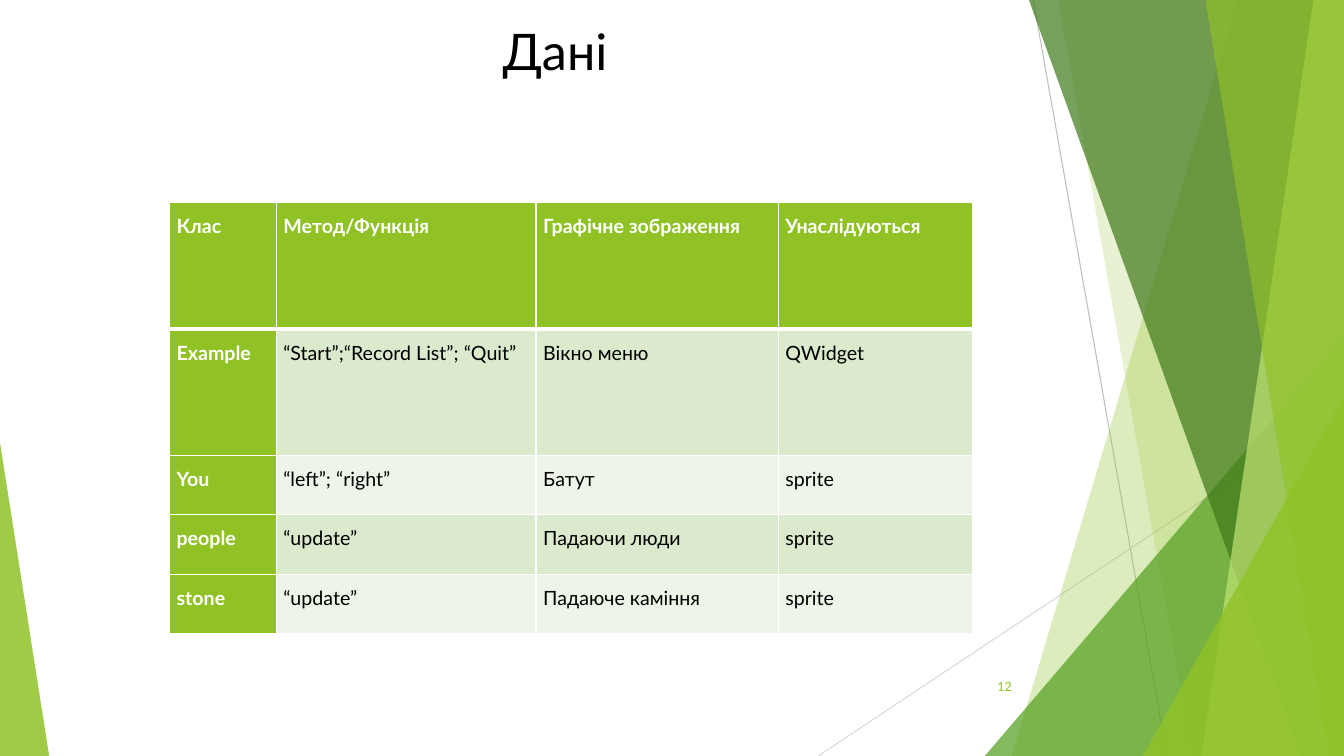
from dataclasses import dataclass

from lxml.etree import SubElement
from pptx import Presentation
from pptx.dml.color import RGBColor as Rgb
from pptx.enum.shapes import MSO_CONNECTOR as Link, MSO_SHAPE as Kind
from pptx.enum.text import MSO_ANCHOR as Anchor, PP_ALIGN as Align
from pptx.oxml import parse_xml
from pptx.oxml.ns import nsdecls, qn
from pptx.util import Cm, Pt


@dataclass(frozen=True)
class Theme:
    font: str = "Lato"
    lime: str = "90C226"
    leaf: str = "54A021"
    moss: str = "3F7819"
    pale: str = "C0E474"
    odd: str = "DBE9CD"
    even: str = "EEF4E8"
    gray: str = "BFBFBF"
    mist: str = "D9D9D9"
    white: str = "FFFFFF"
    black: str = "000000"
    title: int = 36
    body: int = 14
    small: int = 9


THEME = Theme()
WIDTH, HEIGHT = 33.87, 19.05

# Start and end points, colour
LINES = [
    (26.04, 0, 29.41, HEIGHT, THEME.gray),
    (WIDTH, 10.24, 20.62, HEIGHT, THEME.mist),
]
# Left edge at top and at bottom, colour, opacity in percent
BACK = [(31.19, 25.5, THEME.lime, 30), (26.67, 30.05, THEME.lime, 20)]
FRONT = [
    (25.93, 32.79, THEME.moss, 70),
    (33.1, 30.28, THEME.pale, 70),
    (30.38, 33.48, THEME.lime, 65),
]
COLS = [2.69, 6.55, 6.1, 4.9]
ROWS = [3.18, 3.18, 1.5, 1.5, 1.5]
DATA = [
    ["Клас", "Метод/Функція", "Графічне зображення", "Унаслідуються"],
    ["Example", "“Start”;“Record List”; “Quit”", "Вікно меню", "QWidget"],
    ["You", "“left”; “right”", "Батут", "sprite"],
    ["people", "“update”", "Падаючи люди", "sprite"],
    ["stone", "“update”", "Падаюче каміння", "sprite"],
]


def style(para, size, color, align, bold=False):
    para.alignment = align
    for run in para.runs:
        font = run.font
        font.name, font.size, font.bold = THEME.font, Pt(size), bold
        font.color.rgb = Rgb.from_string(color)


def paint(shape, color, alpha):
    """Fill a shape with a see-through colour, without line or shadow."""
    shape.shadow.inherit = False
    shape.line.fill.background()
    shape.fill.solid()
    shape.fill.fore_color.rgb = Rgb.from_string(color)
    tint = shape.fill._xPr.find(".//" + qn("a:srgbClr"))
    SubElement(tint, qn("a:alpha"), val=str(alpha * 1000))


def add_line(slide, x1, y1, x2, y2, color):
    line = slide.shapes.add_connector(
        Link.STRAIGHT, Cm(x1), Cm(y1), Cm(x2), Cm(y2))
    line.line.color.rgb = Rgb.from_string(color)
    line.line.width = Pt(0.75)
    SubElement(line._element.spPr, qn("a:effectLst"))


def add_band(slide, top, bottom, color, alpha):
    """Draw a full-height band that reaches the right edge."""
    pen = slide.shapes.build_freeform(Cm(top), 0)
    pen.add_line_segments([
        (Cm(WIDTH), 0), (Cm(WIDTH), Cm(HEIGHT)), (Cm(bottom), Cm(HEIGHT))])
    paint(pen.convert_to_shape(), color, alpha)


def add_wedge(slide, left, right, top, peak, color, alpha):
    """Draw a triangle on the bottom edge; peak is 0 for left, 1 for right."""
    wedge = slide.shapes.add_shape(
        Kind.ISOSCELES_TRIANGLE, Cm(left), Cm(top),
        Cm(right - left), Cm(HEIGHT - top))
    wedge.adjustments[0] = peak
    paint(wedge, color, alpha)


def add_decor(slide):
    for line in LINES:
        add_line(slide, *line)
    for band in BACK:
        add_band(slide, *band)
    add_wedge(slide, 24.82, WIDTH, 8.46, 1, THEME.leaf, 72)
    for band in FRONT:
        add_band(slide, *band)
    add_wedge(slide, 28.8, WIDTH, 9.98, 1, THEME.lime, 80)
    add_wedge(slide, 0, 1.24, 11.15, 0, THEME.lime, 85)


def set_title(slide, text):
    title = slide.shapes.title
    title.left, title.top = Cm(8.53), Cm(0.38)
    title.width, title.height = Cm(10.59), Cm(2.46)
    frame = title.text_frame
    frame.text = text
    frame.vertical_anchor = Anchor.TOP
    style(frame.paragraphs[0], THEME.title, THEME.black, Align.CENTER)


def set_edges(cell, row):
    """Give a cell white borders, thick between header and body."""
    props = cell._tc.get_or_add_tcPr()
    sizes = {"L": 1, "R": 1, "T": 3 if row == 1 else 1,
             "B": 3 if row == 0 else 1}
    for spot, (side, size) in enumerate(sizes.items()):
        props.insert(spot, parse_xml(
            f'<a:ln{side} {nsdecls("a")} w="{Pt(size)}"><a:solidFill>'
            f'<a:srgbClr val="{THEME.white}"/></a:solidFill></a:ln{side}>'))


def set_cell(cell, text, row, col):
    head = row == 0 or col == 0
    cell.margin_left = cell.margin_right = Cm(0.18)
    cell.margin_top = cell.margin_bottom = 0
    cell.text_frame.text = text
    para = cell.text_frame.paragraphs[0]
    para.line_spacing, para.space_after = 1.5, Pt(10)
    align = Align.LEFT if (row, col) == (1, 1) else Align.JUSTIFY
    style(para, THEME.body, THEME.white if head else THEME.black, align, head)
    band = THEME.odd if row % 2 else THEME.even
    cell.fill.solid()
    cell.fill.fore_color.rgb = Rgb.from_string(THEME.lime if head else band)
    set_edges(cell, row)


def add_grid(slide):
    table = slide.shapes.add_table(
        len(ROWS), len(COLS), Cm(4.27), Cm(5.11),
        Cm(sum(COLS)), Cm(sum(ROWS))).table
    table.first_col = True
    for col, width in zip(table.columns, COLS):
        col.width = Cm(width)
    for row, height in zip(table.rows, ROWS):
        row.height = Cm(height)
    for row, texts in enumerate(DATA):
        for col, text in enumerate(texts):
            set_cell(table.cell(row, col), text, row, col)


def add_number(slide, text):
    box = slide.shapes.add_textbox(Cm(23.85), Cm(16.79), Cm(1.9), Cm(1.02))
    frame = box.text_frame
    frame.word_wrap = True
    frame.vertical_anchor = Anchor.MIDDLE
    frame.text = text
    style(frame.paragraphs[0], THEME.small, THEME.lime, Align.RIGHT)


def main():
    deck = Presentation()
    deck.slide_width, deck.slide_height = Cm(WIDTH), Cm(HEIGHT)
    slide = deck.slides.add_slide(deck.slide_layouts[5])
    add_decor(slide)
    set_title(slide, " Дані")
    add_grid(slide)
    add_number(slide, "12")
    deck.save("out.pptx")


if __name__ == "__main__":
    main()
